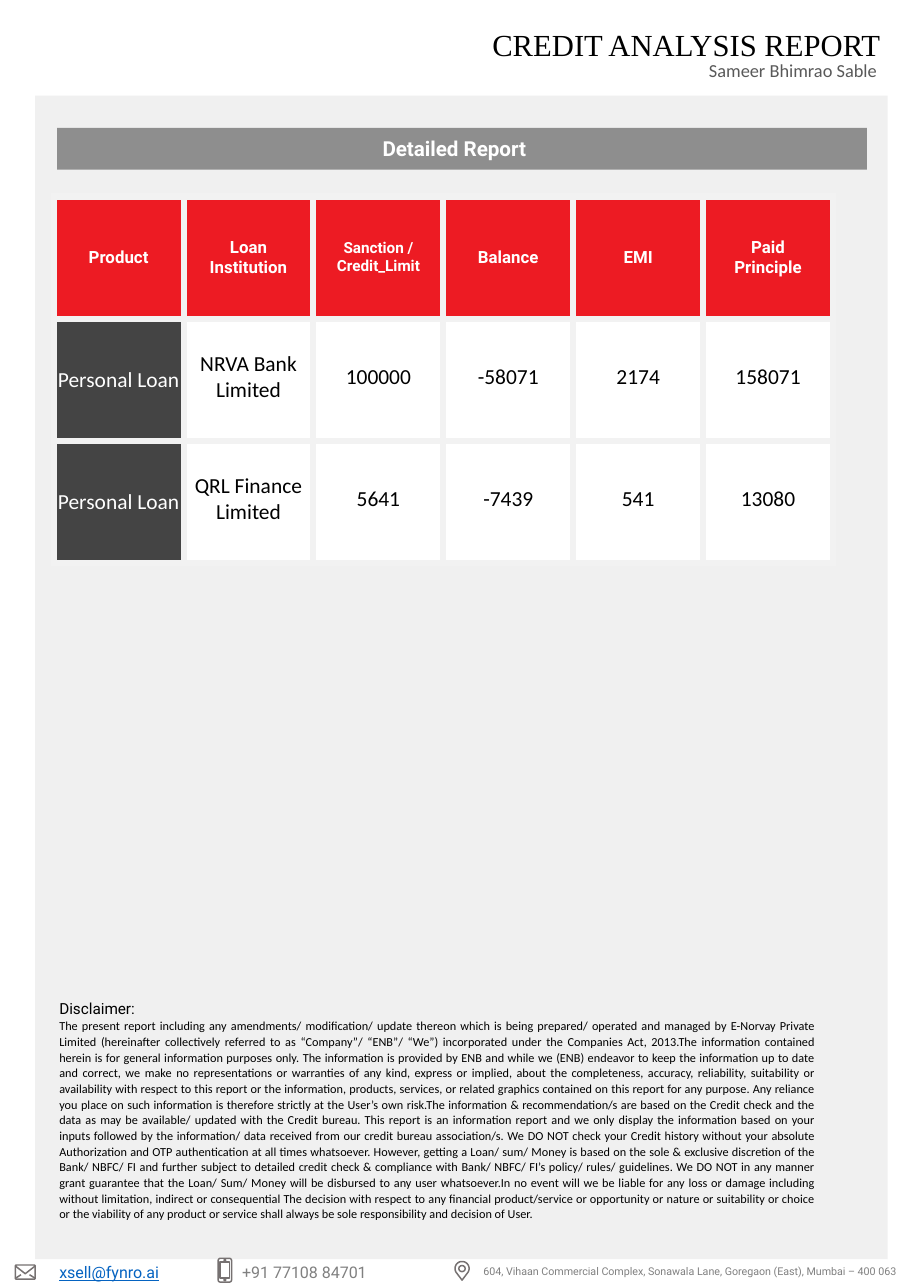
from math import cos, radians, sin

from lxml.etree import SubElement
from pptx import Presentation
from pptx.dml.color import RGBColor
from pptx.enum.shapes import MSO_SHAPE as Preset
from pptx.enum.text import MSO_ANCHOR as Anchor, PP_ALIGN as Align
from pptx.oxml.ns import qn
from pptx.util import Pt


class Theme:
    panel = RGBColor.from_string("F0F0F0")
    bar = RGBColor.from_string("8E8E8E")
    header = RGBColor.from_string("ED1B23")
    product = RGBColor.from_string("444444")
    white = RGBColor.from_string("FFFFFF")
    black = RGBColor.from_string("000000")
    name = RGBColor.from_string("595959")
    contact = RGBColor.from_string("808080")
    address = RGBColor.from_string("0563C1")
    icon = RGBColor.from_string("767171")
    grid = "F2F2F2"
    serif, sans, body = "Times New Roman", "Roboto", "Calibri"
    title_size, name_size, bar_size = Pt(20), Pt(12), Pt(13.5)
    header_size, long_header_size, cell_size = Pt(11), Pt(10), Pt(14)
    contact_size, place_size = Pt(10.5), Pt(7)
    heading_size, disclaimer_size = Pt(10), Pt(8)


def style(para, face, size, color, align=Align.LEFT, bold=False):
    para.alignment = align
    font = para.font
    font.name, font.size, font.bold = face, size, bold
    font.color.rgb = color


def add_text(left, top, width, height, text, *look):
    box = page.shapes.add_textbox(Pt(left), Pt(top), Pt(width), Pt(height))
    frame = box.text_frame
    frame.word_wrap = True
    frame.text = text
    style(frame.paragraphs[0], *look)
    return frame


deck = Presentation()
deck.slide_width, deck.slide_height = Pt(595.44), Pt(841.68)
page = deck.slides.add_slide(deck.slide_layouts[6])

# Background panel and section bar
for color, left, top, width, height in [
    (Theme.panel, 23, 62.6, 557.3, 760.3),
    (Theme.bar, 37.4, 83.5, 529.2, 27.4),
]:
    block = page.shapes.add_shape(Preset.RECTANGLE, Pt(left), Pt(top), Pt(width), Pt(height))
    block.shadow.inherit = False
    block.fill.solid()
    block.fill.fore_color.rgb = color
    block.line.fill.background()

add_text(69.8, 85.5, 454.3, 23.8, "Detailed Report",
         Theme.sans, Theme.bar_size, Theme.white, Align.CENTER, True)
add_text(290.9, 13.7, 291.6, 31.7, "CREDIT ANALYSIS REPORT",
         Theme.serif, Theme.title_size, Theme.black, Align.RIGHT)
add_text(346.3, 35.3, 234, 24, "Sameer Bhimrao Sable",
         Theme.body, Theme.name_size, Theme.name, Align.RIGHT)

# Loan table
loans = [
    ["Product", "Loan Institution", "Sanction / Credit_Limit", "Balance", "EMI", "Paid\nPrinciple"],
    ["Personal Loan", "NRVA Bank Limited", "100000", "-58071", "2174", "158071"],
    ["Personal Loan", "QRL Finance Limited", "5641", "-7439", "541", "13080"],
]
table = page.shapes.add_table(3, 6, Pt(35.1), Pt(128.4), Pt(509.4), Pt(239.4)).table
table.first_row = table.horz_banding = False
for column in table.columns:
    column.width = Pt(84.9)
for row_index, row in enumerate(loans):
    table.rows[row_index].height = Pt(79.8)
    for column_index, value in enumerate(row):
        cell = table.cell(row_index, column_index)
        cell.text = value
        cell.vertical_anchor = Anchor.MIDDLE
        face, size, color, fill = Theme.body, Theme.cell_size, Theme.black, Theme.white
        if row_index == 0:
            face, color, fill = Theme.sans, Theme.white, Theme.header
            size = Theme.long_header_size if column_index == 2 else Theme.header_size
        else:
            cell.margin_left = cell.margin_right = cell.margin_top = Pt(0.7)
            cell.margin_bottom = Pt(3.6)
            if column_index == 0:
                color, fill = Theme.white, Theme.product
                cell.margin_bottom = Pt(0)
        for para in cell.text_frame.paragraphs:
            style(para, face, size, color, Align.CENTER, row_index == 0)
        properties = cell._tc.get_or_add_tcPr()
        for side in ("a:lnL", "a:lnR", "a:lnT", "a:lnB"):
            border = SubElement(properties, qn(side), w=str(Pt(4.5)))
            SubElement(SubElement(border, qn("a:solidFill")), qn("a:srgbClr"), val=Theme.grid)
        cell.fill.solid()
        cell.fill.fore_color.rgb = fill

# Disclaimer
disclaimer = [
    "The present report including any amendments/ modification/ update thereon which is being "
    "prepared/ operated and managed by E-Norvay Private Limited (hereinafter collectively referred "
    "to as “Company”/ “ENB”/ “We”) incorporated under the Companies Act, 2013.The information "
    "contained herein is for general information purposes only.",
    "The information is provided by ENB and while we (ENB) endeavor to keep the information up to "
    "date and correct, we make no representations or warranties of any kind, express or implied, "
    "about the completeness, accuracy, reliability, suitability or availability with respect to "
    "this report or the information, products, services, or related graphics contained on this "
    "report for any purpose.",
    "Any reliance you place on such information is therefore strictly at the User’s own risk.The "
    "information & recommendation/s are based on the Credit check and the data as may be available/ "
    "updated with the Credit bureau.",
    "This report is an information report and we only display the information based on your inputs "
    "followed by the information/ data received from our credit bureau association/s.",
    "We DO NOT check your Credit history without your absolute Authorization and OTP "
    "authentication at all times whatsoever.",
    "However, getting a Loan/ sum/ Money is based on the sole & exclusive discretion of the Bank/ "
    "NBFC/ FI and further subject to detailed credit check & compliance with Bank/ NBFC/ FI’s "
    "policy/ rules/ guidelines.",
    "We DO NOT in any manner grant guarantee that the Loan/ Sum/ Money will be disbursed to any "
    "user whatsoever.In no event will we be liable for any loss or damage including without "
    "limitation, indirect or consequential",
    "The decision with respect to any financial product/service or opportunity or nature or "
    "suitability or choice or the viability of any product or service shall always be sole "
    "responsibility and decision of User.",
]
frame = add_text(31.7, 649.4, 509, 154, "Disclaimer:",
                 Theme.sans, Theme.heading_size, Theme.black, Align.JUSTIFY)
para = frame.add_paragraph()
para.text = " ".join(disclaimer)
para.line_spacing, para.space_after = 1.07, Pt(8)
style(para, Theme.body, Theme.disclaimer_size, Theme.black, Align.JUSTIFY)

# Contact line
email = add_text(31.7, 821.5, 132.5, 20, "xsell@fynro.ai",
                 Theme.sans, Theme.contact_size, Theme.address)
email.paragraphs[0].font.underline = True
add_text(151.2, 821.3, 132.5, 20, "+91 77108 84701",
         Theme.sans, Theme.contact_size, Theme.contact)
place = add_text(308.9, 823, 286.5, 15.8,
                 "604, Vihaan Commercial Complex, Sonawala Lane, Goregaon (East), Mumbai – 400 063",
                 Theme.sans, Theme.place_size, Theme.contact)
place.margin_right = 0

# Contact icons: envelope, phone and map pin
icons = [
    page.shapes.add_shape(preset, Pt(left), Pt(top), Pt(width), Pt(height))
    for preset, left, top, width, height in [
        (Preset.ROUNDED_RECTANGLE, 10, 826.7, 13, 9.3),
        (Preset.ROUNDED_RECTANGLE, 142.6, 822.3, 8.8, 15.6),
        (Preset.RECTANGLE, 143.9, 824.6, 6.2, 10.6),
        (Preset.OVAL, 146.5, 823.2, 1, 0.6),
        (Preset.OVAL, 146.4, 836, 1.2, 0.9),
        (Preset.OVAL, 299.9, 827, 4.2, 4),
    ]
]
icons[0].adjustments[0] = 0.08
pin = [(302 + 4.6 * cos(radians(angle)), 829 + 4.6 * sin(radians(angle)))
       for angle in range(150, 391, 10)] + [(302, 836.6)]
for points, closed in [
    ([(10, 827.3), (16.5, 832.4), (23, 827.3)], False),
    ([(10, 835.4), (13.7, 833)], False),
    ([(23, 835.4), (19.3, 833)], False),
    (pin, True),
]:
    start, *others = [(Pt(x), Pt(y)) for x, y in points]
    builder = page.shapes.build_freeform(*start)
    builder.add_line_segments(others, close=closed)
    icons.append(builder.convert_to_shape())
for icon in icons:
    icon.shadow.inherit = False
    icon.fill.background()
    icon.line.color.rgb = Theme.icon
    icon.line.width = Pt(0.96)

deck.save("out.pptx")
